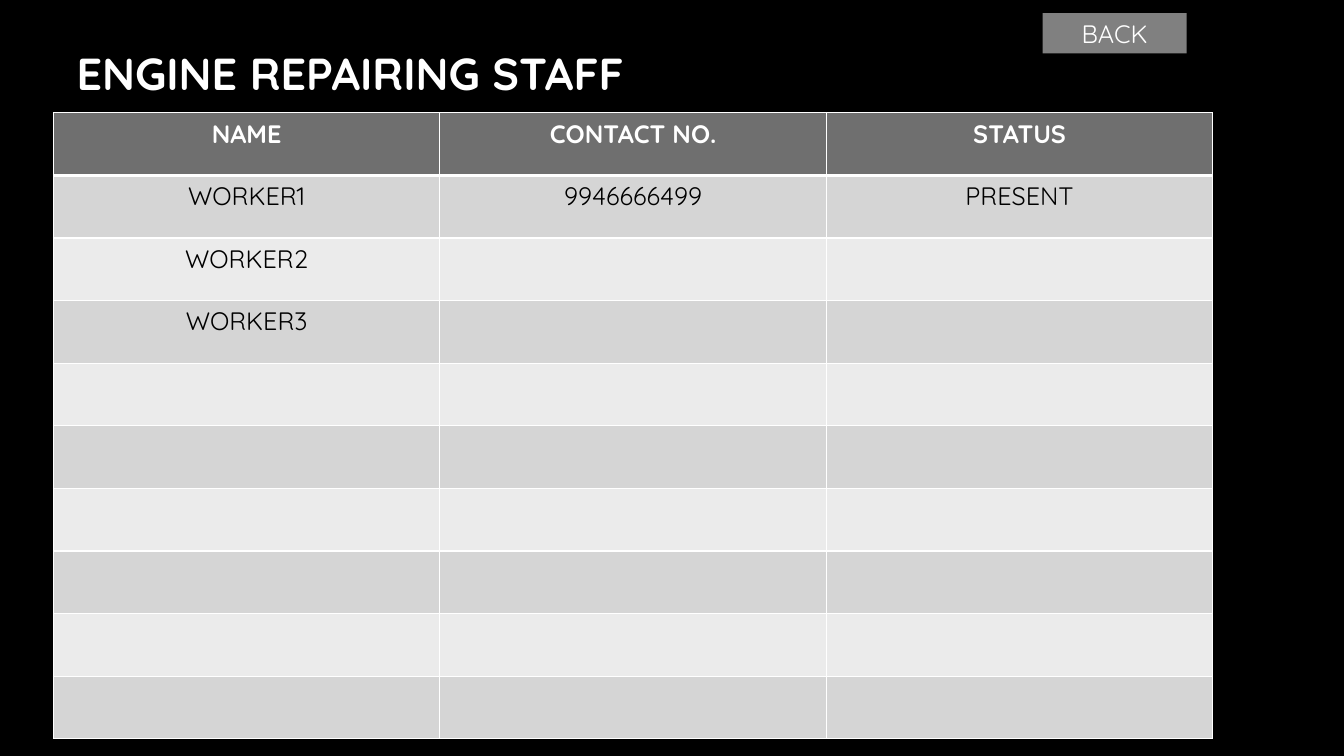
from lxml.etree import SubElement
from pptx import Presentation
from pptx.dml.color import RGBColor
from pptx.enum.shapes import MSO_SHAPE
from pptx.enum.text import MSO_ANCHOR, MSO_AUTO_SIZE, PP_ALIGN
from pptx.oxml.ns import qn
from pptx.util import Inches, Pt

HEADINGS = ["NAME", "CONTACT NO.", "STATUS"]
STAFF = [
    ["WORKER1", "9946666499", "PRESENT"],
    ["WORKER2"],
    ["WORKER3"],
]
ROW_COUNT = 10


def color(value):
    return RGBColor.from_string(value)


class StaffSlide:
    font_name = "Quicksand"
    text_size = 18
    white = "FFFFFF"
    header_fill = "6F6F6F"
    band_fills = ["EBEBEB", "D5D5D5"]

    def __init__(self, deck):
        self.page = deck.slides.add_slide(deck.slide_layouts[5])
        background = self.page.background.fill
        background.solid()
        background.fore_color.rgb = color("000000")

    def add_text(self, frame, text, align, **formats):
        para = frame.paragraphs[0]
        para.alignment = align
        span = para.add_run()
        span.text = text
        values = {"name": self.font_name, "size": Pt(self.text_size), "bold": False}
        for name, value in (values | formats).items():
            setattr(span.font, name, value)
        return span

    def title(self, text, left, top, width, height):
        box = self.page.shapes.title
        places = {"left": left, "top": top, "width": width, "height": height}
        for name, value in places.items():
            setattr(box, name, Inches(value))
        frame = box.text_frame
        frame.auto_size = MSO_AUTO_SIZE.NONE
        frame.vertical_anchor = MSO_ANCHOR.MIDDLE
        span = self.add_text(frame, text, PP_ALIGN.LEFT, size=Pt(32), bold=True)
        fill = span.font.fill
        fill.gradient()
        fill.gradient_angle = 267
        for stop, position, shade in zip(fill.gradient_stops, [0, 1], [self.white, "A6A6A6"]):
            stop.position = position
            stop.color.rgb = color(shade)

    def border(self, cell, side, points):
        properties = cell._tc.get_or_add_tcPr()
        line = SubElement(properties, qn(f"a:ln{side}"), w=str(Pt(points)))
        fill = SubElement(line, qn("a:solidFill"))
        SubElement(fill, qn("a:srgbClr"), val=self.white)

    def table(self, rows, left, top, width, height):
        frame = self.page.shapes.add_table(
            ROW_COUNT, len(HEADINGS), Inches(left), Inches(top), Inches(width), Inches(height)
        )
        for row_index, row in enumerate(frame.table.rows):
            is_header = row_index == 0
            texts = rows[row_index] if row_index < len(rows) else []
            widths = {"L": 1, "R": 1, "T": 3 if row_index == 1 else 1, "B": 3 if is_header else 1}
            for column_index, cell in enumerate(row.cells):
                for side, points in widths.items():
                    self.border(cell, side, points)
                cell.fill.solid()
                fill = self.header_fill if is_header else self.band_fills[row_index % 2]
                cell.fill.fore_color.rgb = color(fill)
                if column_index < len(texts):
                    span = self.add_text(
                        cell.text_frame, texts[column_index], PP_ALIGN.CENTER, bold=is_header
                    )
                    span.font.color.rgb = color(self.white if is_header else "000000")

    def button(self, text, left, top, width, height):
        box = self.page.shapes.add_shape(
            MSO_SHAPE.RECTANGLE, Inches(left), Inches(top), Inches(width), Inches(height)
        )
        box.shadow.inherit = False
        box.fill.solid()
        box.fill.fore_color.rgb = color("808080")
        box.line.fill.background()
        frame = box.text_frame
        frame.word_wrap = True
        frame.auto_size = MSO_AUTO_SIZE.SHAPE_TO_FIT_TEXT
        frame.vertical_anchor = MSO_ANCHOR.TOP
        span = self.add_text(frame, text, PP_ALIGN.CENTER)
        span.font.color.rgb = color(self.white)


def main():
    deck = Presentation()
    deck.slide_width = Inches(13.33)
    deck.slide_height = Inches(7.5)
    slide = StaffSlide(deck)
    slide.title("ENGINE REPAIRING STAFF", 0.66, 0, 11.5, 1.45)
    slide.table([HEADINGS] + STAFF, 0.53, 1.12, 11.5, 6.21)
    slide.button("BACK", 10.34, 0.13, 1.43, 0.4)
    deck.save("out.pptx")


if __name__ == "__main__":
    main()
